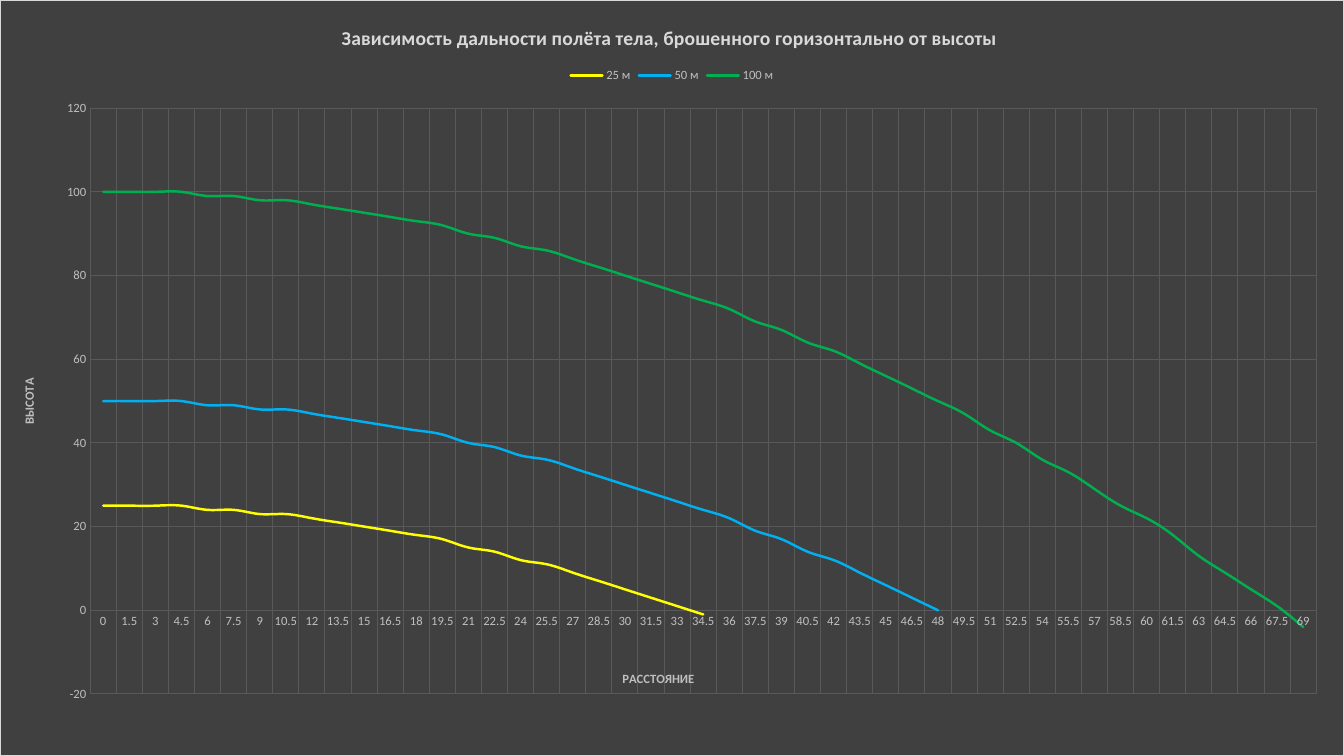
import pptx
import pptx.chart.data
import pptx.dml.color
import pptx.enum.chart
import pptx.oxml
import pptx.oxml.ns
import pptx.util
from pptx.util import Inches

BACKGROUND = pptx.dml.color.RGBColor(0x40, 0x40, 0x40)
GRID = pptx.dml.color.RGBColor(0x59, 0x59, 0x59)
LABEL = pptx.dml.color.RGBColor(0xBF, 0xBF, 0xBF)
HEADING = pptx.dml.color.RGBColor(0xD9, 0xD9, 0xD9)
YELLOW = pptx.dml.color.RGBColor(0xFF, 0xFF, 0x00)
BLUE = pptx.dml.color.RGBColor(0x00, 0xB0, 0xF0)
GREEN = pptx.dml.color.RGBColor(0x00, 0xB0, 0x50)

WIDTH = Inches(13.33)
HEIGHT = Inches(7.5)
FONT = "Calibri"
GRAVITY = 9.81
SPEED = 15
DISTANCES = [1.5 * step for step in range(47)]
# Start height, number of plotted points, colour
FLIGHTS = [(25, 24, YELLOW), (50, 33, BLUE), (100, 47, GREEN)]


def qn(tag):
    return pptx.oxml.ns.qn(tag)


def chart_xml(body):
    namespaces = pptx.oxml.ns.nsdecls("c", "a")
    return pptx.oxml.parse_xml(body.replace(">", f" {namespaces}>", 1))


def style_font(font, size, color, bold=False):
    font.name = FONT
    font.size = pptx.util.Pt(size)
    font.bold = bold
    font.color.rgb = color


def height_at(start, distance):
    return round(start - GRAVITY * distance ** 2 / (2 * SPEED ** 2))


def flight_data():
    data = pptx.chart.data.CategoryChartData()
    data.categories = [f"{distance:g}" for distance in DISTANCES]
    for start, count, _ in FLIGHTS:
        heights = [height_at(start, distance) for distance in DISTANCES[:count]]
        data.add_series(f"{start} м", heights + [None] * (len(DISTANCES) - count))
    return data


def set_layout(parent, target=None, **lengths):
    """Place a chart part; lengths become fractions of the chart's size."""
    old = parent.find(qn("c:layout"))
    body = f'<c:layoutTarget val="{target}"/>' if target else ""
    body += "".join(f'<c:{side}Mode val="edge"/>' for side in "xy")
    for side, length in lengths.items():
        fraction = length / (WIDTH if side in "xw" else HEIGHT)
        body += f'<c:{side} val="{fraction}"/>'
    layout = chart_xml(f"<c:layout><c:manualLayout>{body}</c:manualLayout></c:layout>")
    if old is not None:
        parent.replace(old, layout)
    elif parent.find(qn("c:tx")) is not None:
        parent.find(qn("c:tx")).addnext(layout)
    else:
        parent.insert(0, layout)


def write_title(title, text, size, color):
    title.text_frame.text = text
    style_font(title.text_frame.paragraphs[0].font, size, color, bold=True)


def style_axis(axis, text, rotation, x, y):
    axis.has_major_gridlines = True
    axis.major_gridlines.format.line.color.rgb = GRID
    axis.major_gridlines.format.line.width = pptx.util.Pt(0.75)
    axis.major_tick_mark = pptx.enum.chart.XL_TICK_MARK.NONE
    axis.minor_tick_mark = pptx.enum.chart.XL_TICK_MARK.NONE
    axis.format.line.fill.background()
    style_font(axis.tick_labels.font, 9, LABEL)
    write_title(axis.axis_title, text, 9, LABEL)
    title = axis.axis_title._element
    title.find(".//" + qn("a:bodyPr")).set("rot", str(rotation))
    set_layout(title, x=x, y=y)


def style_chart_area(chart):
    space = chart._chartSpace
    space.find(qn("c:chart")).addnext(chart_xml(
        f'<c:spPr><a:solidFill><a:srgbClr val="{BACKGROUND}"/></a:solidFill>'
        f'<a:ln w="9525"><a:solidFill><a:srgbClr val="{HEADING}"/></a:solidFill></a:ln>'
        "</c:spPr>"))
    if space.find(qn("c:roundedCorners")) is None:
        corners = pptx.oxml.parse_xml(
            f'<c:roundedCorners {pptx.oxml.ns.nsdecls("c")} val="0"/>')
        space.find(qn("c:date1904")).addnext(corners)
    set_layout(space.find(".//" + qn("c:plotArea")), "inner",
               x=Inches(0.89), y=Inches(1.07), w=Inches(12.17), h=Inches(5.82))


def style_flights(chart):
    for flight, (_, _, color) in zip(chart.plots[0].series, FLIGHTS):
        flight.smooth = True
        flight.format.line.color.rgb = color
        flight.format.line.width = pptx.util.Pt(1.75)
        flight._element.find(".//" + qn("a:ln")).set("cap", "rnd")
        flight.marker.style = pptx.enum.chart.XL_MARKER_STYLE.NONE


def add_flight_chart(slide):
    chart = slide.shapes.add_chart(
        pptx.enum.chart.XL_CHART_TYPE.LINE, 0, 0, WIDTH, HEIGHT, flight_data()).chart
    style_font(chart.font, 10, LABEL)
    style_chart_area(chart)
    chart.plots[0].vary_by_categories = False
    style_flights(chart)

    # Heading and legend
    chart.has_title = True
    write_title(chart.chart_title,
                "Зависимость дальности полёта тела, брошенного горизонтально от высоты ",
                14, HEADING)
    chart.has_legend = True
    chart.legend.position = pptx.enum.chart.XL_LEGEND_POSITION.TOP
    chart.legend.include_in_layout = False
    style_font(chart.legend.font, 9, LABEL)

    # Axes
    style_axis(chart.category_axis, "РАССТОЯНИЕ", 0, Inches(6.15), Inches(6.63))
    style_axis(chart.value_axis, "ВЫСОТА", -5400000, Inches(0.18), Inches(3.73))
    chart.value_axis.minimum_scale = -20
    chart.value_axis.maximum_scale = 120
    chart.value_axis.major_unit = 20


def main():
    deck = pptx.Presentation()
    deck.slide_width = WIDTH
    deck.slide_height = HEIGHT
    slide = deck.slides.add_slide(deck.slide_layouts[6])
    add_flight_chart(slide)
    deck.save("out.pptx")


if __name__ == "__main__":
    main()
